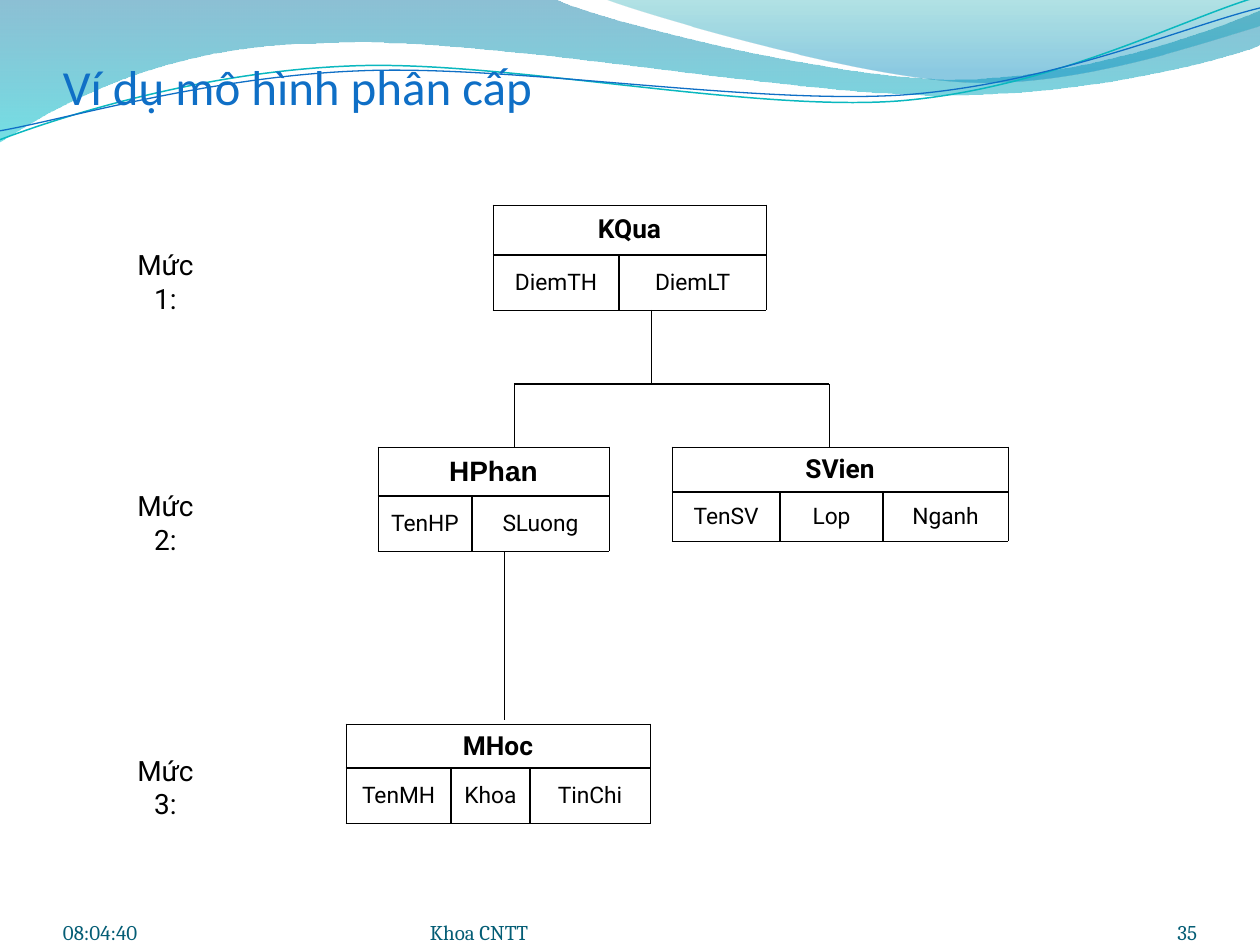
from dataclasses import dataclass

from lxml.etree import SubElement
from pptx import Presentation
from pptx.dml.color import RGBColor
from pptx.enum.shapes import MSO_CONNECTOR
from pptx.enum.text import MSO_ANCHOR as Anchor, MSO_AUTO_SIZE as AutoSize, PP_ALIGN as Align
from pptx.oxml.ns import qn
from pptx.util import Emu, Pt

PX = 914400 / 126
BLACK = RGBColor(0x00, 0x00, 0x00)
BLUE = RGBColor(0x0F, 0x6F, 0xC6)
TURQUOISE = RGBColor(0x0A, 0xB8, 0xBF)
FOOTER_TEAL = RGBColor(0x04, 0x5D, 0x75)
DEEP_BLUE = RGBColor(0x00, 0x74, 0xA1)
CYAN = RGBColor(0x00, 0xC6, 0xCF)
SEA_GREEN = RGBColor(0x00, 0xA1, 0xA9)
SKY_BLUE = RGBColor(0x00, 0x8B, 0xBF)

Point = tuple[int, int]


@dataclass(frozen=True)
class Stop:
    position: int
    color: RGBColor
    opacity: int


@dataclass(frozen=True)
class Wave:
    start: Point
    segments: list[list[Point]]
    stops: tuple[Stop, ...] = ()
    color: RGBColor = BLUE
    width: float = 0


@dataclass(frozen=True)
class Label:
    text: str
    box: tuple[int, int, int, int]
    size: int
    font: str
    color: RGBColor
    align: Align = Align.LEFT
    anchor: Anchor = Anchor.BOTTOM
    insets: tuple[int, int, int, int] = (0, 0, 0, 0)
    wrap: bool = True


@dataclass(frozen=True)
class Record:
    name: str
    fields: tuple[str, ...]
    corner: Point
    columns: tuple[int, ...]
    rows: tuple[int, int]
    size: int = 15
    font: str = "Roboto"


@dataclass(frozen=True)
class Link:
    start: Point
    end: Point
    width: float = 0.5


WAVES = [
    Wave((0, -1), [
        [(554, -1)],
        [(600, 21), (837, 79), (955, 79)],
        [(1075, 79), (1207, 33), (1260, 11)],
        [(1261, 45)],
        [(1239, 55), (1096, 96), (940, 95)],
        [(784, 95), (481, 35), (324, 43)],
        [(163, 44), (58, 105), (-1, 142)],
    ], stops=(Stop(0, DEEP_BLUE, 45), Stop(100, CYAN, 55))),
    Wave((604, -1), [
        [(641, 14), (859, 78), (969, 82)],
        [(1079, 87), (1211, 40), (1260, 26)],
        [(1260, 0)],
    ], stops=(Stop(0, SEA_GREEN, 30), Stop(80, SKY_BLUE, 45))),
    Wave((-1, 140), [
        [(60, 117), (199, 72), (349, 66)],
        [(498, 59), (747, 112), (898, 101)],
        [(1050, 89), (1182, 19), (1257, -3)],
    ], color=TURQUOISE, width=0.85),
    Wave((-1, 131), [
        [(59, 121), (207, 77), (357, 71)],
        [(508, 64), (752, 105), (903, 95)],
        [(1053, 84), (1186, 26), (1260, 8)],
    ], color=BLUE, width=0.75),
]

LEVELS = [
    Label(f"Mức {level}:", (110, top, 111, 47), 16, "Roboto", BLACK,
          Align.CENTER, Anchor.TOP, (13, 6, 13, 6), False)
    for level, top in ((1, 242), (2, 483), (3, 747))
]
LABELS = [
    Label("Ví dụ mô hình phân cấp", (63, 48, 1134, 67), 28, "Calibri", BLUE,
          insets=(0, 6, 0, 0)),
    *LEVELS,
    Label("08:04:40", (63, 882, 766, 63), 12, "Cambria", FOOTER_TEAL),
    Label("Khoa CNTT", (430, 882, 399, 63), 12, "Cambria", FOOTER_TEAL),
    Label("35", (903, 882, 294, 63), 12, "Cambria", FOOTER_TEAL, Align.RIGHT),
]

RECORDS = [
    Record("KQua", ("DiemTH", "DiemLT"), (493, 205), (126, 147), (50, 55)),
    Record("HPhan", ("TenHP", "SLuong"), (378, 447), (94, 137), (49, 55), 16, "Arial"),
    Record("SVien", ("TenSV", "Lop", "Nganh"), (672, 447), (108, 103, 125), (45, 49)),
    Record("MHoc", ("TenMH", "Khoa", "TinChi"), (346, 724), (105, 79, 120), (44, 55)),
]

LINKS = [
    Link((651, 310), (651, 384)),
    Link((514, 384), (829, 384), 1),
    Link((514, 384), (514, 447)),
    Link((829, 384), (829, 447)),
    Link((504, 552), (504, 720)),
]


def px(length: int) -> Emu:
    return Emu(round(length * PX))


def add_color(parent, color: RGBColor):
    return SubElement(parent, qn("a:srgbClr"), val=str(color))


def bend_segments(shape, segments: list[list[Point]]) -> None:
    steps = iter(list(shape.element.spPr.iter(qn("a:lnTo"))))
    for segment in segments:
        first, *others = [next(steps) for _ in segment]
        if others:
            curve = first.makeelement(qn("a:cubicBezTo"))
            first.addprevious(curve)
            for step in (first, *others):
                curve.append(step[0])
                step.getparent().remove(step)


def draw_wave(slide, wave: Wave) -> None:
    points = [point for segment in wave.segments for point in segment]
    builder = slide.shapes.build_freeform(*wave.start, scale=PX)
    builder.add_line_segments(points, close=bool(wave.stops))
    shape = builder.convert_to_shape()
    bend_segments(shape, wave.segments)
    shape.shadow.inherit = False
    if not wave.stops:
        shape.fill.background()
        shape.line.color.rgb = wave.color
        shape.line.width = Pt(wave.width)
        return
    shape.line.fill.background()
    shape.fill.gradient()
    gradient = shape.element.spPr.find(qn("a:gradFill"))
    for child in list(gradient):
        gradient.remove(child)
    stop_list = SubElement(gradient, qn("a:gsLst"))
    for stop in wave.stops:
        mark = SubElement(stop_list, qn("a:gs"), pos=str(stop.position * 1000))
        SubElement(add_color(mark, stop.color), qn("a:alpha"), val=str(stop.opacity * 1000))
    SubElement(gradient, qn("a:lin"), ang="5400000", scaled="0")


def write(paragraph, text: str, size: int, font: str, color: RGBColor,
          align: Align, bold: bool = False) -> None:
    paragraph.alignment = align
    run = paragraph.add_run()
    run.text = text
    run.font.size, run.font.name, run.font.bold = Pt(size), font, bold
    run.font.color.rgb = color


def draw_label(slide, label: Label) -> None:
    frame = slide.shapes.add_textbox(*map(px, label.box)).text_frame
    frame.word_wrap = label.wrap
    frame.auto_size = AutoSize.NONE if label.wrap else AutoSize.SHAPE_TO_FIT_TEXT
    frame.vertical_anchor = label.anchor
    (frame.margin_left, frame.margin_top,
     frame.margin_right, frame.margin_bottom) = map(px, label.insets)
    write(frame.paragraphs[0], label.text, label.size, label.font, label.color, label.align)


def style_cell(cell, borders: dict[str, float]) -> None:
    cell.vertical_anchor = Anchor.MIDDLE
    properties = cell._tc.get_or_add_tcPr()
    for side in "LRTB":
        border = SubElement(properties, qn(f"a:ln{side}"), w=str(Pt(borders[side])))
        add_color(SubElement(border, qn("a:solidFill")), BLACK)
    cell.fill.background()


def draw_record(slide, record: Record) -> None:
    count = len(record.columns)
    table = slide.shapes.add_table(2, count, *map(px, (
        *record.corner, sum(record.columns), sum(record.rows)))).table
    table.first_row = table.horz_banding = False
    for column, width in zip(table.columns, record.columns):
        column.width = px(width)
    for row, height in zip(table.rows, record.rows):
        row.height = px(height)
    table.cell(0, 0).merge(table.cell(0, count - 1))
    write(table.cell(0, 0).text_frame.paragraphs[0], record.name, record.size,
          record.font, BLACK, Align.CENTER, True)
    for index, field in enumerate(record.fields):
        style_cell(table.cell(0, index), {"L": 0.5, "R": 0.5, "T": 0.5, "B": 1})
        cell = table.cell(1, index)
        style_cell(cell, {"L": 1 if index else 0.5, "R": 1 if index < count - 1 else 0.5,
                          "T": 1, "B": 0.5})
        write(cell.text_frame.paragraphs[0], field, 13, "Roboto", BLACK, Align.CENTER)


def draw_link(slide, link: Link) -> None:
    connector = slide.shapes.add_connector(
        MSO_CONNECTOR.STRAIGHT, *map(px, (*link.start, *link.end)))
    connector.line.color.rgb = BLACK
    connector.line.width = Pt(link.width)
    SubElement(connector._element.spPr, qn("a:effectLst"))


def main() -> None:
    deck = Presentation()
    deck.slide_width, deck.slide_height = px(1260), px(945)
    slide = deck.slides.add_slide(deck.slide_layouts[6])
    for draw, parts in ((draw_wave, WAVES), (draw_label, LABELS),
                        (draw_record, RECORDS), (draw_link, LINKS)):
        for part in parts:
            draw(slide, part)
    deck.save("out.pptx")


if __name__ == "__main__":
    main()
